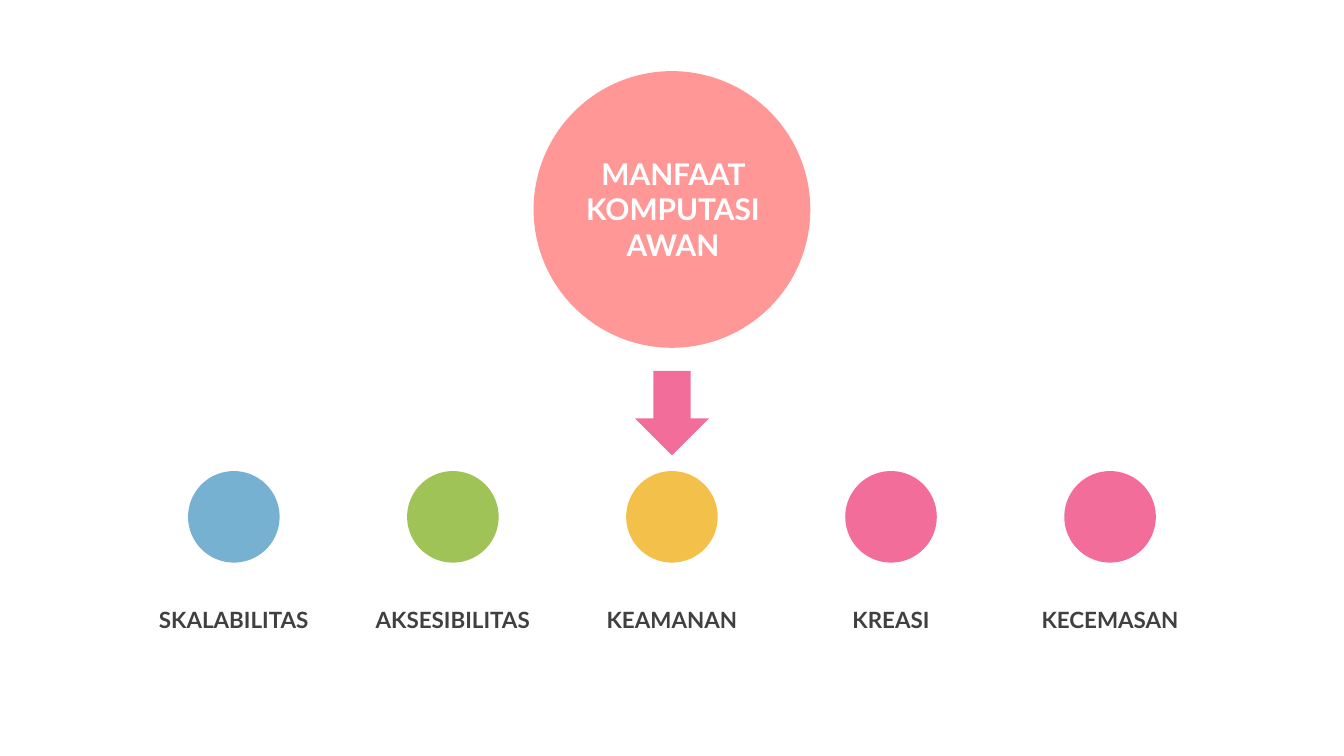
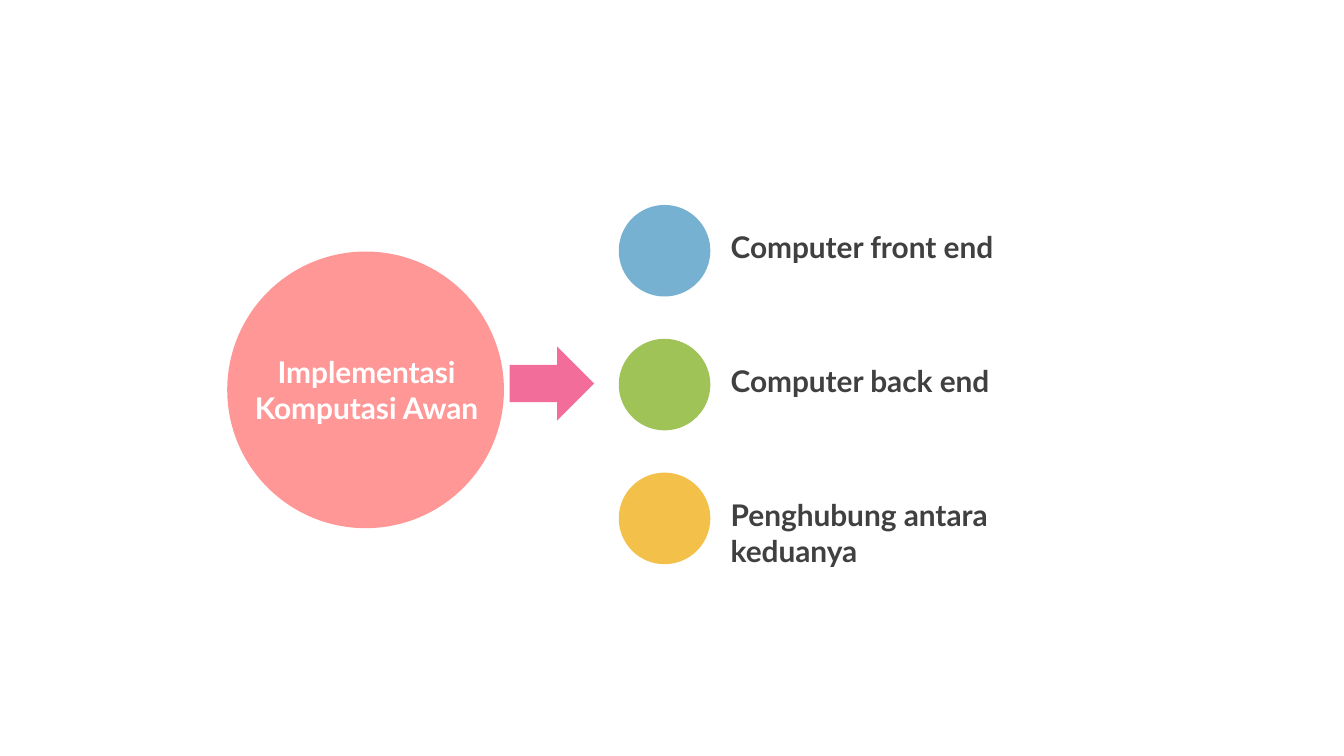
from pptx import Presentation
from pptx.dml.color import RGBColor
from pptx.enum import shapes, text
from pptx.util import Cm, Pt

CORAL = RGBColor(0xFF, 0x97, 0x97)
PINK = RGBColor(0xF2, 0x6D, 0x9A)
BLUE = RGBColor(0x76, 0xB1, 0xD1)
GREEN = RGBColor(0xA0, 0xC3, 0x58)
GOLD = RGBColor(0xF3, 0xC0, 0x4A)
DARK = RGBColor(0x40, 0x40, 0x40)
WHITE = RGBColor(0xFF, 0xFF, 0xFF)

OVAL = shapes.MSO_SHAPE.OVAL
ARROW = shapes.MSO_SHAPE.RIGHT_ARROW
LEFT, MID = text.PP_ALIGN.LEFT, text.PP_ALIGN.CENTER
HUB, DOT = 5.23, 1.73


def draw(slide, kind, x, y, wide, high, fill):
    form = slide.shapes.add_shape(kind, Cm(x - wide / 2), Cm(y - high / 2), Cm(wide), Cm(high))
    form.shadow.inherit = False
    form.fill.solid()
    form.fill.fore_color.rgb = fill
    form.line.fill.background()
    return form


def write(slide, words, x, y, wide, high, size, color, align):
    box = slide.shapes.add_textbox(Cm(x), Cm(y), Cm(wide), Cm(high))
    frame = box.text_frame
    frame.word_wrap = True
    frame.text = words
    line = frame.paragraphs[0]
    line.alignment = align
    font = line.runs[0].font
    font.name, font.size, font.bold = "Lato", Pt(size), True
    font.color.rgb = color
    return frame


deck = Presentation()
deck.slide_width, deck.slide_height = Cm(25.4), Cm(14.29)
blank = deck.slide_layouts[6]

heads = [
    ("MANFAAT KOMPUTASI AWAN", 12.7, 3.96, 12.7, 7.81, 90),
    ("Implementasi Komputasi Awan", 6.91, 7.37, 10.43, 7.25, 0),
]
pages = []
for title, x, y, tip_x, tip_y, turn in heads:
    slide = deck.slides.add_slide(blank)
    draw(slide, OVAL, x, y, HUB, HUB, CORAL)
    draw(slide, ARROW, tip_x, tip_y, 1.6, 1.4, PINK).rotation = turn
    frame = write(slide, title, x - 2.57, y - 1.09, 5.18, 2.16, 16, WHITE, MID)
    frame.vertical_anchor = text.MSO_ANCHOR.MIDDLE
    pages.append(slide)

gains = [
    ("SKALABILITAS", BLUE),
    ("AKSESIBILITAS", GREEN),
    ("KEAMANAN", GOLD),
    ("KREASI", PINK),
    ("KECEMASAN", PINK),
]
for i, (name, color) in enumerate(gains):
    x = 12.7 + 4.14 * (i - 2)
    draw(pages[0], OVAL, x, 9.77, DOT, DOT, color)
    write(pages[0], name, x - 1.8, 11.34, 3.6, 0.77, 12, DARK, MID)

parts = [
    ("Computer front end", BLUE),
    ("Computer back end", GREEN),
    ("Penghubung antara keduanya", GOLD),
]
for i, (name, color) in enumerate(parts):
    y = 4.74 + 2.53 * i
    draw(pages[1], OVAL, 12.56, y, DOT, DOT, color)
    write(pages[1], name, 13.56, y - 0.54, 7.87, 0.94, 16, DARK, LEFT)

deck.save("out.pptx")
